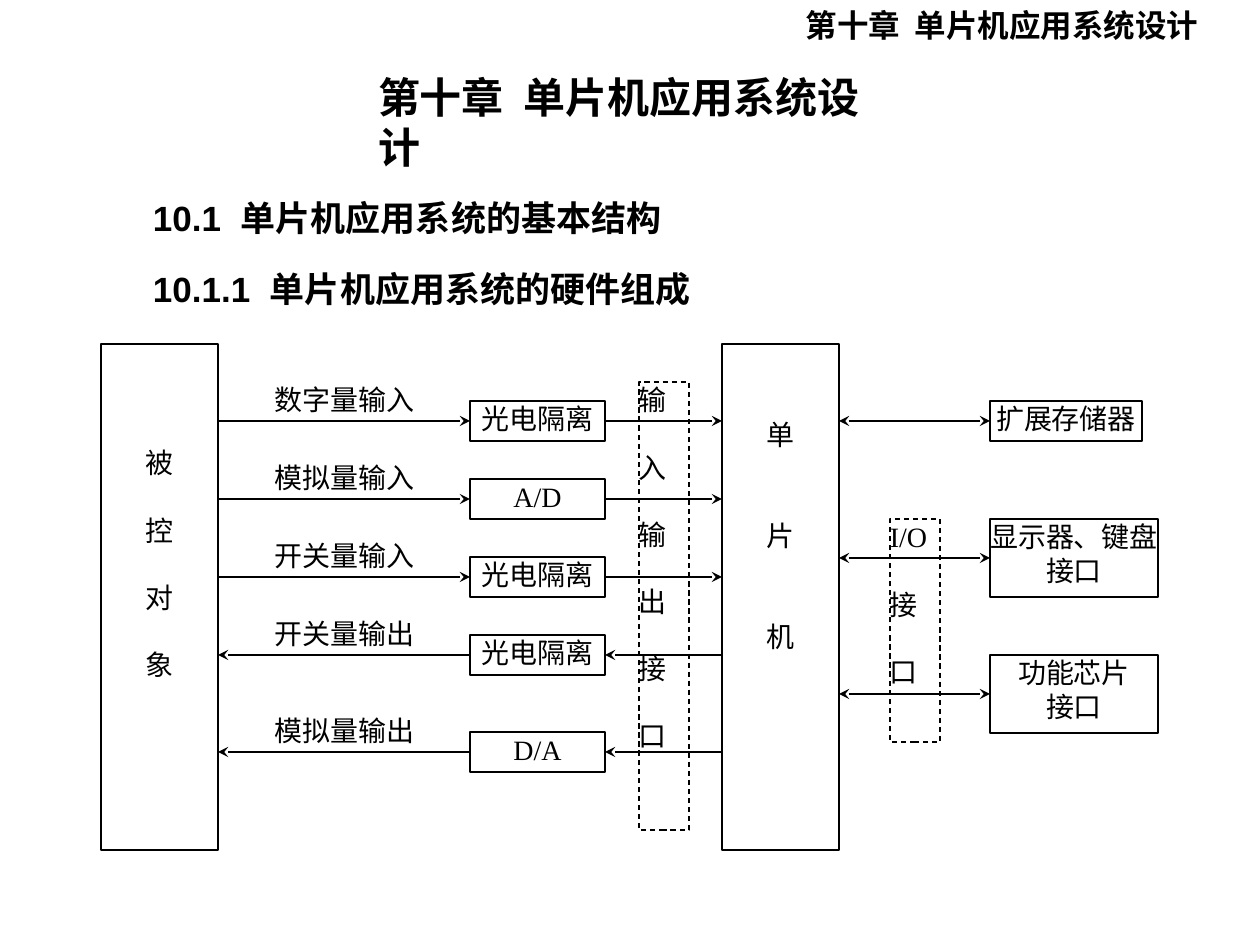
from dataclasses import dataclass

from lxml.etree import SubElement
from pptx import Presentation
from pptx.dml.color import RGBColor
from pptx.enum.dml import MSO_LINE
from pptx.enum.shapes import MSO_CONNECTOR, MSO_SHAPE
from pptx.enum.text import MSO_ANCHOR, MSO_AUTO_SIZE, PP_ALIGN
from pptx.oxml.ns import qn
from pptx.util import Emu, Pt

PX_PER_INCH = 126
LEFT, RIGHT = 1, 3


def px(length):
    return Emu(round(length * 914400 / PX_PER_INCH))


@dataclass(frozen=True)
class Theme:
    ink: RGBColor = RGBColor(0, 0, 0)
    header_font: str = "Noto Sans CJK JP"
    heading_font: str = "Arial"
    diagram_font: str = "Times New Roman"
    title_size: int = 24
    heading_size: int = 20
    header_size: int = 18
    diagram_size: int = 16
    line_pitch: float = 19.2
    stroke: float = 0.75


class DiagramSlide:
    def __init__(self, presentation, theme):
        self.theme = theme
        self.slide = presentation.slides.add_slide(presentation.slide_layouts[5])
        self.shapes = self.slide.shapes

    def set_text(self, shape, text, font, size, bold=False, align=PP_ALIGN.CENTER,
                 anchor=MSO_ANCHOR.TOP, insets=(0, 0), wrap=True, pitch=None, gap=0):
        frame = shape.text_frame
        frame.text = text
        frame.auto_size = MSO_AUTO_SIZE.NONE
        frame.word_wrap = wrap
        frame.vertical_anchor = anchor
        frame.margin_left = frame.margin_right = px(insets[0])
        frame.margin_top, frame.margin_bottom = px(insets[1]), 0
        for index, paragraph in enumerate(frame.paragraphs):
            paragraph.alignment = align
            paragraph.space_before = Pt(gap if index else 0)
            if pitch:
                paragraph.line_spacing = Pt(pitch)
            for run in paragraph.runs:
                run.font.name = font
                run.font.size = Pt(size)
                run.font.bold = bold
                run.font.color.rgb = self.theme.ink

    def set_diagram_text(self, shape, text, **options):
        self.set_text(shape, text, self.theme.diagram_font, self.theme.diagram_size,
                      pitch=self.theme.line_pitch, **options)

    def header(self, text, left, top, width, height):
        box = self.shapes.add_textbox(px(left), px(top), px(width), px(height))
        self.set_text(box, text, self.theme.header_font, self.theme.header_size,
                      bold=True, anchor=MSO_ANCHOR.MIDDLE)

    def title(self, text, left, top, width, height):
        title = self.shapes.title
        title.left, title.top = px(left), px(top)
        title.width, title.height = px(width), px(height)
        self.set_text(title, text, self.theme.heading_font, self.theme.title_size,
                      bold=True, align=PP_ALIGN.LEFT, anchor=MSO_ANCHOR.MIDDLE,
                      insets=(13, 0), wrap=False)

    def heading(self, text, left, top, width, height):
        box = self.shapes.add_textbox(px(left), px(top), px(width), px(height))
        self.set_text(box, text, self.theme.heading_font, self.theme.heading_size,
                      bold=True, align=PP_ALIGN.LEFT, anchor=MSO_ANCHOR.MIDDLE,
                      insets=(13, 0), wrap=False)

    def label(self, text, left, top, width, height):
        box = self.shapes.add_textbox(px(left), px(top), px(width), px(height))
        self.set_diagram_text(box, text, insets=(0, 1))

    def block(self, text, left, top, width, height, dashed=False, **options):
        block = self.shapes.add_shape(
            MSO_SHAPE.RECTANGLE, px(left), px(top), px(width), px(height))
        block.shadow.inherit = False
        block.fill.background()
        block.line.color.rgb = self.theme.ink
        block.line.width = Pt(self.theme.stroke)
        if dashed:
            block.line.dash_style = MSO_LINE.DASH
        self.set_diagram_text(block, text, **options)
        return block

    def column(self, text, left, top, width, height, inset=1, blank_lines=1, **options):
        self.block("\n".join(text), left, top, width, height, insets=(0, inset),
                   gap=blank_lines * self.theme.line_pitch, **options)

    def arrow(self, start_x, end_x, y, begin=None, end=None, both=False):
        arrow = self.shapes.add_connector(
            MSO_CONNECTOR.STRAIGHT, px(start_x), px(y), px(end_x), px(y))
        if begin:
            arrow.begin_connect(*begin)
        if end:
            arrow.end_connect(*end)
        arrow.line.color.rgb = self.theme.ink
        arrow.line.width = Pt(self.theme.stroke)
        properties = arrow._element.spPr
        line = properties.find(qn("a:ln"))
        if both:
            SubElement(line, qn("a:headEnd"), type="stealth")
        SubElement(line, qn("a:tailEnd"), type="stealth")
        SubElement(properties, qn("a:effectLst"))


def main():
    presentation = Presentation()
    presentation.slide_width, presentation.slide_height = px(1260), px(945)
    page = DiagramSlide(presentation, Theme())

    chapter = "第十章  单片机应用系统设计"
    page.header(chapter, 769, 0, 466, 50)
    page.title(chapter, 365, 82, 548, 80)
    page.heading("10.1  单片机应用系统的基本结构", 140, 187, 542, 60)
    page.heading("10.1.1  单片机应用系统的硬件组成", 140, 259, 571, 60)

    plant_left, mcu_left, column_width = 101, 722, 117
    plant_right, mcu_right = plant_left + column_width, mcu_left + column_width
    page.column("被控对象", plant_left, 344, column_width, 506, inset=102)
    page.column("单片机", mcu_left, 344, column_width, 506, inset=74, blank_lines=2)

    converter_left, converter_width, row_height = 470, 135, 40
    converter_right = converter_left + converter_width
    channels = [
        ("数字量输入", "光电隔离", 421, True),
        ("模拟量输入", "A/D", 499, True),
        ("开关量输入", "光电隔离", 577, True),
        ("开关量输出", "光电隔离", 655, False),
        ("模拟量输出", "D/A", 752, False),
    ]
    for signal, converter_name, y, is_input in channels:
        page.label(signal, 252, y - 39, 185, 39)
        converter = page.block(converter_name, converter_left, y - row_height // 2,
                               converter_width, row_height, insets=(0, 1), wrap=False)
        if is_input:
            page.arrow(plant_right, converter_left, y, end=(converter, LEFT))
            page.arrow(converter_right, mcu_left, y, begin=(converter, RIGHT))
        else:
            page.arrow(mcu_left, converter_right, y, end=(converter, RIGHT))
            page.arrow(converter_left, plant_right, y, begin=(converter, LEFT))

    peripheral_left = 990
    peripherals = [
        ("扩展存储器", 421, 152, 40),
        ("显示器、键盘\n接口", 558, 168, 78),
        ("功能芯片\n接口", 694, 168, 78),
    ]
    for peripheral_name, y, width, height in peripherals:
        peripheral = page.block(peripheral_name, peripheral_left, y - height // 2,
                                width, height, insets=(0, 1), wrap=False)
        page.arrow(mcu_right, peripheral_left, y, end=(peripheral, LEFT), both=True)

    page.column("输入输出接口", 639, 382, 50, 448, dashed=True, align=PP_ALIGN.JUSTIFY)
    page.column(["I/O", "接", "口"], 890, 519, 50, 223, dashed=True,
                align=PP_ALIGN.JUSTIFY)

    presentation.save("out.pptx")


if __name__ == "__main__":
    main()
